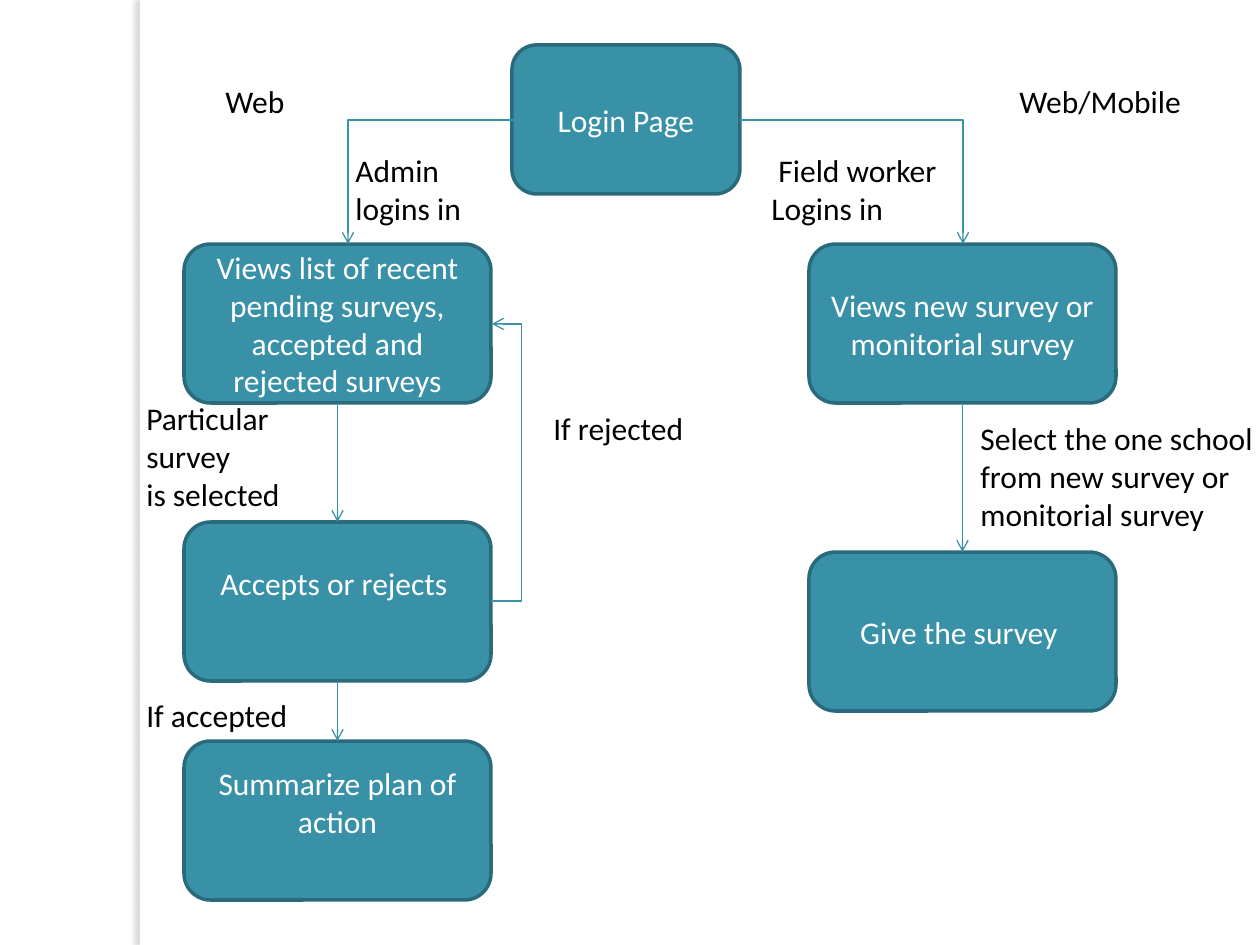
from lxml.etree import SubElement
from pptx import Presentation
from pptx.dml.color import RGBColor
from pptx.enum.shapes import MSO_CONNECTOR, MSO_SHAPE
from pptx.enum.text import MSO_ANCHOR, MSO_AUTO_SIZE, PP_ALIGN
from pptx.oxml.ns import qn
from pptx.util import Pt

SCALE = 914400 / 126
HUES = {"teal": "3891A7", "edge": "296B7C", "white": "FFFFFF",
        "black": "000000", "shade": "736F63"}


def px(n):
    return round(n * SCALE)


def hue(name):
    return RGBColor.from_string(HUES[name])


class Chart:
    font = "Calibri"
    size = Pt(18)

    def __init__(self, slide):
        self.slide = slide
        self.shapes = slide.shapes

    def fill_text(self, frame, text, color, align):
        frame.word_wrap = True
        frame.text = text
        for para in frame.paragraphs:
            para.alignment = align
            para.font.name = self.font
            para.font.size = self.size
            para.font.color.rgb = hue(color)

    def bar(self, x, y, w, h):
        bar = self.shapes.add_shape(MSO_SHAPE.RECTANGLE, px(x), px(y), px(w), px(h))
        bar.fill.solid()
        bar.fill.fore_color.rgb = hue("white")
        bar.line.fill.background()
        bar.shadow.inherit = False
        glow = SubElement(bar._element.spPr.find(qn("a:effectLst")), qn("a:outerShdw"),
                          blurRad=str(Pt(3)), dist=str(Pt(3)), dir="10800000",
                          algn="ctr", rotWithShape="0")
        tint = SubElement(glow, qn("a:srgbClr"), val=HUES["shade"])
        SubElement(tint, qn("a:alpha"), val="25000")

    def box(self, text, x, y, w=307, h=159, lift=6):
        box = self.shapes.add_shape(MSO_SHAPE.ROUNDED_RECTANGLE,
                                    px(x), px(y), px(w), px(h))
        box.shadow.inherit = False
        box.fill.solid()
        box.fill.fore_color.rgb = hue("teal")
        box.line.color.rgb = hue("edge")
        box.line.width = Pt(2)
        frame = box.text_frame
        frame.vertical_anchor = MSO_ANCHOR.MIDDLE
        frame.margin_bottom = px(lift)
        self.fill_text(frame, text, "white", PP_ALIGN.CENTER)
        return box

    def label(self, text, x, y, w, h):
        frame = self.shapes.add_textbox(px(x), px(y), px(w), px(h)).text_frame
        self.fill_text(frame, text, "black", PP_ALIGN.LEFT)
        frame.auto_size = MSO_AUTO_SIZE.SHAPE_TO_FIT_TEXT

    def arrow(self, kind, start, end):
        line = self.shapes.add_connector(kind, *map(px, start + end))
        line.line.color.rgb = hue("teal")
        line.line.width = Pt(0.75)
        SubElement(line._element.spPr.find(qn("a:ln")), qn("a:tailEnd"), type="arrow")
        SubElement(line._element.spPr, qn("a:effectLst"))
        return line

    def down(self, top, low):
        line = self.arrow(MSO_CONNECTOR.STRAIGHT, (0, 0), (0, 0))
        line.begin_connect(top, 2)
        line.end_connect(low, 0)

    def bend(self, start, end, reach=None):
        line = self.arrow(MSO_CONNECTOR.ELBOW, start, end)
        geom = line._element.spPr.find(qn("a:prstGeom"))
        if reach is None:
            geom.set("prst", "bentConnector2")
        else:
            ratio = reach * 100000 // (end[0] - start[0])
            SubElement(geom.find(qn("a:avLst")), qn("a:gd"),
                       name="adj1", fmla=f"val {ratio}")


def main():
    deck = Presentation()
    deck.slide_width, deck.slide_height = px(1260), px(945)
    flow = Chart(deck.slides.add_slide(deck.slide_layouts[6]))
    left, right = 184, 809

    flow.bar(140, 0, 10, 945)
    flow.box("Login Page", 512, 45, 228, 149)
    views = flow.box("Views list of recent pending surveys, accepted and rejected surveys",
                     left, 244)
    judge = flow.box("Accepts or rejects ", left, 522, lift=44)
    plan = flow.box("Summarize plan of action", left, 741, lift=44)
    fresh = flow.box("Views new survey or monitorial survey", right, 244)
    give = flow.box("Give the survey ", right, 552)

    flow.bend((520, 120), (348, 244))
    flow.bend((740, 120), (963, 244))
    for top, low in ((fresh, give), (views, judge), (judge, plan)):
        flow.down(top, low)
    flow.bend((491, 601), (492, 324), 31)

    for item in (
        ("Admin logins in", 343, 145, 169, 89),
        (" Field worker\nLogins in", 759, 145, 218, 89),
        ("Particular survey\nis selected", 134, 393, 189, 127),
        ("If rejected", 541, 403, 179, 50),
        ("If accepted", 134, 690, 189, 50),
        ("Select the one school from new survey or monitorial survey", 968, 413, 310, 127),
        ("Web/Mobile", 1007, 76, 208, 50),
        ("Web", 213, 76, 198, 50),
    ):
        flow.label(*item)
    deck.save("out.pptx")


if __name__ == "__main__":
    main()
